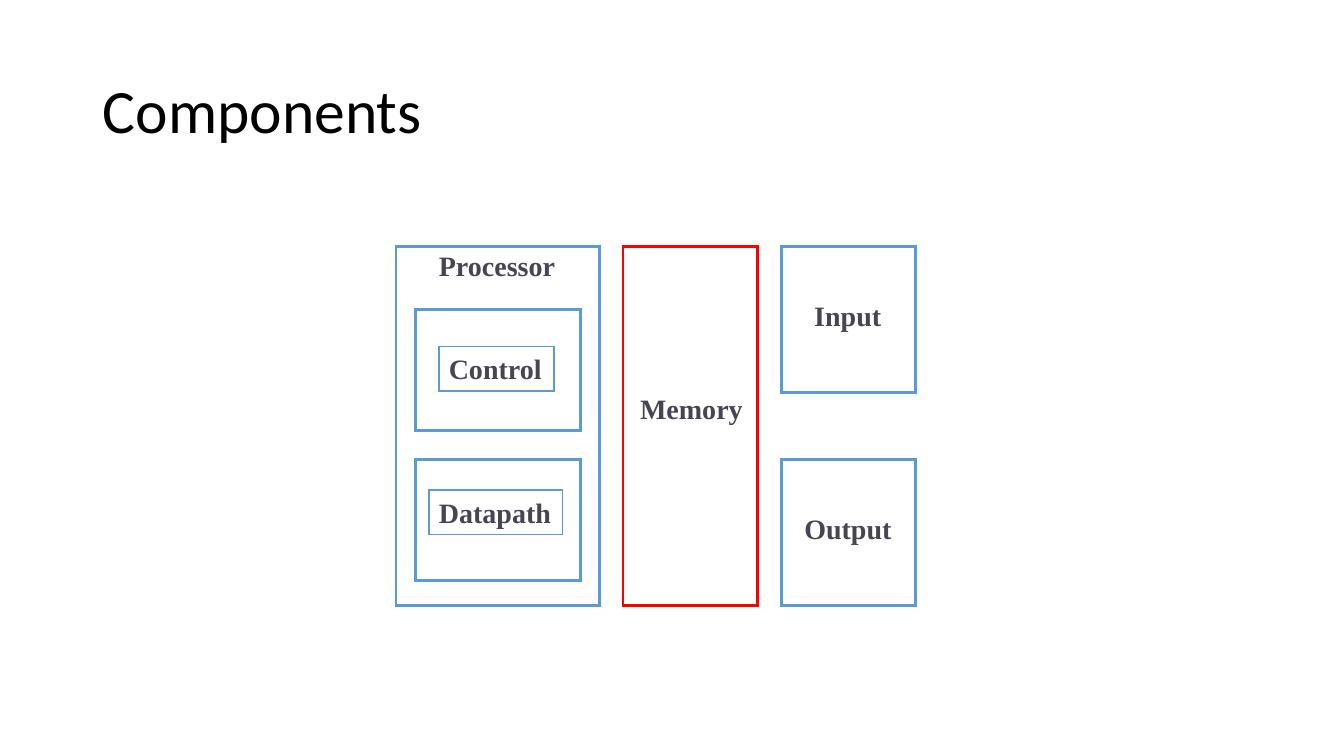
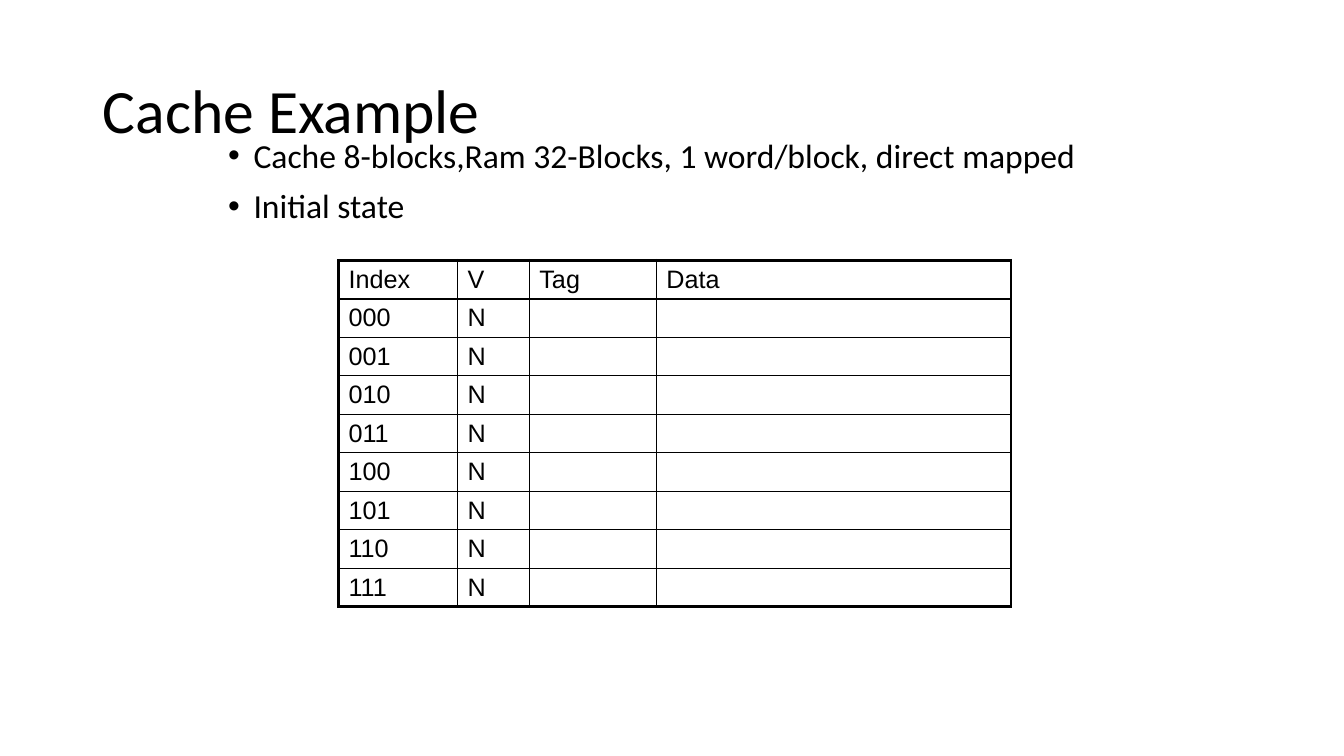
"""Builds two slides on computer components and a direct-mapped cache."""
from lxml import etree
from pptx import Presentation
from pptx import util as u
from pptx.dml.color import RGBColor
from pptx.enum import shapes, text
from pptx.oxml.ns import qn

BLACK, BLUE, RED, SLATE = "000000", "5B9BD5", "FF0000", "464653"


def add_run(paragraph, words, font, size, color, bold=False):
    run = paragraph.add_run()
    run.text = words
    run.font.name, run.font.size, run.font.bold = font, u.Pt(size), bold
    run.font.color.rgb = RGBColor.from_string(color)


def add_titled_slide(title):
    slide = deck.slides.add_slide(deck.slide_layouts[5])
    heading = slide.shapes.title
    heading.left, heading.top = u.Cm(2.34), u.Cm(1.02)
    heading.width, heading.height = u.Cm(29.21), u.Cm(3.68)
    heading.text_frame.vertical_anchor = text.MSO_ANCHOR.MIDDLE
    line = heading.text_frame.paragraphs[0]
    line.alignment, line.line_spacing = text.PP_ALIGN.LEFT, 0.9
    add_run(line, title, "Calibri", 44, BLACK)
    return slide


deck = Presentation()
deck.slide_width, deck.slide_height = u.Cm(33.87), u.Cm(19.05)

components = add_titled_slide("Components")
top, output_top = 6.22, 11.58
blocks = [
    ("", 9.98, top, 5.13, 9.04, BLUE, 2),
    ("", 15.7, top, 3.39, 9.04, RED, 2),
    ("", 19.69, top, 3.39, 3.68, BLUE, 2),
    ("", 19.69, output_top, 3.39, 3.68, BLUE, 2),
    ("", 10.48, 7.8, 4.15, 3.05, BLUE, 2),
    ("", 10.48, output_top, 4.15, 3.05, BLUE, 2),
    ("Control", 11.06, 8.73, 2.9, 1.12, BLUE, 1),
    ("Datapath", 10.81, 12.35, 3.37, 1.12, BLUE, 1),
    ("Processor", 10.81, 6.14, 3.5, 1.1, None, 0),
    ("Memory", 15.88, 9.75, 3.13, 1.1, None, 0),
    ("Input", 20.27, 7.39, 2.22, 1.1, None, 0),
    ("Output", 20.02, 12.77, 2.73, 1.1, None, 0),
]
for name, left, y, width, height, color, weight in blocks:
    place = u.Cm(left), u.Cm(y), u.Cm(width), u.Cm(height)
    if color:
        block = components.shapes.add_shape(shapes.MSO_SHAPE.RECTANGLE, *place)
        block.shadow.inherit = False
        block.fill.background()
        block.line.color.rgb = RGBColor.from_string(color)
        block.line.width = u.Pt(weight)
        etree.SubElement(block.line._get_or_add_ln(), qn("a:miter"), lim="800000")
    else:
        block = components.shapes.add_textbox(*place)
    if name:
        block.text_frame.word_wrap = False
        block.text_frame.vertical_anchor = text.MSO_ANCHOR.TOP
        label = block.text_frame.paragraphs[0]
        label.alignment = text.PP_ALIGN.LEFT
        add_run(label, name, "Times New Roman", 20, SLATE, True)

cache = add_titled_slide("Cache Example")
column_widths = [3, 1.81, 3.2, 8.94]
rows = [["Index", "V", "Tag", "Data"]]
rows += [[f"{index:03b}", "N", "", ""] for index in range(8)]
row_height = 0.97
table = cache.shapes.add_table(
    len(rows), len(column_widths), u.Cm(8.53), u.Cm(6.56),
    u.Cm(sum(column_widths)), u.Cm(row_height * len(rows))).table
for column, width in zip(table.columns, column_widths):
    column.width = u.Cm(width)

last_row, last_column = len(rows) - 1, len(column_widths) - 1
for r, row in enumerate(rows):
    table.rows[r].height = u.Cm(row_height)
    for c, words in enumerate(row):
        cell = table.cell(r, c)
        cell.margin_top = cell.margin_bottom = 0
        cell.vertical_anchor = text.MSO_ANCHOR.MIDDLE
        if words:
            add_run(cell.text_frame.paragraphs[0], words, "Arial", 18, BLACK)
        borders = {
            "a:lnL": 2.25 if c == 0 else 1,
            "a:lnR": 2.25 if c == last_column else 1,
            "a:lnT": {0: 2.25, 1: 1.5}.get(r, 1),
            "a:lnB": {0: 1.5, last_row: 2.25}.get(r, 1),
        }
        properties = cell._tc.get_or_add_tcPr()
        for side, weight in borders.items():
            border = etree.SubElement(properties, qn(side), w=str(u.Pt(weight)))
            fill = etree.SubElement(border, qn("a:solidFill"))
            etree.SubElement(fill, qn("a:srgbClr"), val=BLACK)
        cell.fill.background()

summary = cache.shapes.add_textbox(u.Cm(5.5), u.Cm(3.38), u.Cm(22.86), u.Cm(13.72)).text_frame
summary.word_wrap = True
points = ["Cache 8-blocks,Ram 32-Blocks, 1 word/block, direct mapped", "Initial state"]
for number, words in enumerate(points):
    point = summary.add_paragraph() if number else summary.paragraphs[0]
    point.line_spacing, point.space_before = 0.9, u.Pt(10)
    add_run(point, words, "Calibri", 24, BLACK)
    indents = point._p.get_or_add_pPr()
    indents.set("marL", str(u.Cm(0.64)))
    indents.set("indent", str(u.Cm(-0.64)))
    etree.SubElement(indents, qn("a:buFont"), typeface="Arial")
    etree.SubElement(indents, qn("a:buChar"), char="•")

deck.save("out.pptx")
